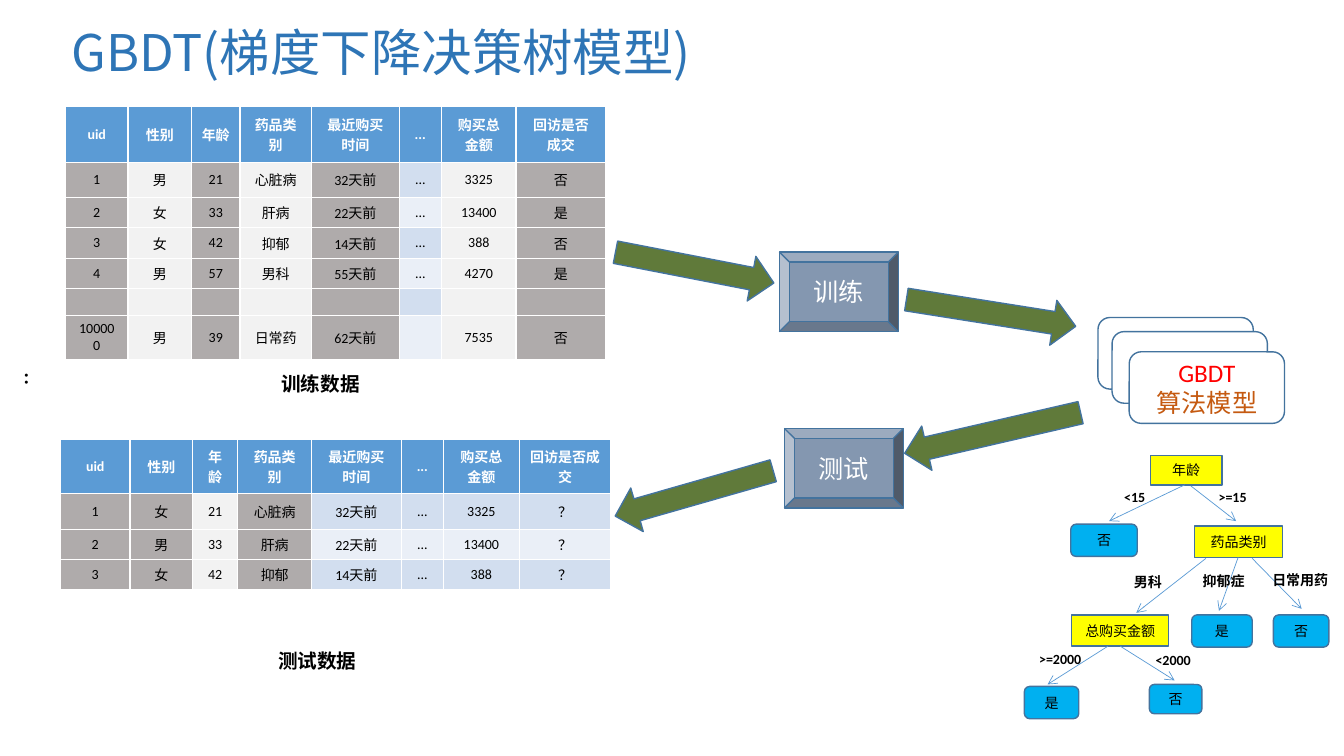
"""Build the GBDT training and testing flow slide."""
from lxml import etree
from pptx import Presentation
from pptx.dml.color import RGBColor
from pptx.enum.shapes import MSO_CONNECTOR, MSO_SHAPE
from pptx.enum.text import MSO_ANCHOR, MSO_AUTO_SIZE, PP_ALIGN
from pptx.oxml.ns import qn
from pptx.util import Inches, Pt

RECT, ROUND = MSO_SHAPE.RECTANGLE, MSO_SHAPE.ROUNDED_RECTANGLE
BEVEL, ARROW = MSO_SHAPE.BEVEL, MSO_SHAPE.RIGHT_ARROW
CENTER, LEFT, MIDDLE = PP_ALIGN.CENTER, PP_ALIGN.LEFT, MSO_ANCHOR.MIDDLE
LATIN, CJK = "Calibri", "Noto Sans CJK SC"
BLACK, WHITE, OUTLINE = "000000", "FFFFFF", "43739E"
YELLOW, CYAN, GREEN, SLATE = "FFFF00", "00B0F0", "607A3A", "8497B0"
HEADER_FILL = "5B9BD5"
COLUMN_FILLS = {"grey": ("AFABAB",) * 2, "light": ("F2F2F2",) * 2, "band": ("D2DEEF", "EAEFF7")}

TITLE = "GBDT(梯度下降决策树模型)"
HEADINGS = ["uid", "性别", "年龄", "药品类别", "最近购买时间", "...", "购买总金额", "回访是否成交"]
TABLES = [
    {
        "at": (0.65, 1.06),
        "columns": [0.62, 0.63, 0.48, 0.71, 0.87, 0.42, 0.74, 0.89],
        "heights": [0.55, 0.35, 0.3, 0.3, 0.3, 0.27, 0.4],
        "fills": ["grey", "light", "grey", "light", "grey", "band", "light", "grey"],
        "rows": [
            ["1", "男", "21", "心脏病", "32天前", "...", "3325", "否"],
            ["2", "女", "33", "肝病", "22天前", "...", "13400", "是"],
            ["3", "女", "42", "抑郁", "14天前", "...", "388", "否"],
            ["4", "男", "57", "男科", "55天前", "...", "4270", "是"],
            [""] * 8,
            ["100000", "男", "39", "日常药", "62天前", "", "7535", "否"],
        ],
    },
    {
        "at": (0.6, 4.36),
        "columns": [0.69, 0.62, 0.45, 0.73, 0.89, 0.42, 0.75, 0.91],
        "heights": [0.54, 0.35, 0.28, 0.27],
        "fills": ["grey", "grey", "light", "grey", "band", "band", "band", "band"],
        "rows": [
            ["1", "女", "21", "心脏病", "32天前", "...", "3325", "？"],
            ["2", "男", "33", "肝病", "22天前", "...", "13400", "？"],
            ["3", "女", "42", "抑郁", "14天前", "...", "388", "？"],
        ],
    },
]
CAPTIONS = [("训练数据", 2.69, 3.64), ("测试数据", 2.66, 6.39)]
STAGES = [("训练", 7.73, 2.5), ("测试", 7.78, 4.25)]
FLOW_ARROWS = [(6.09, 2.43, 1.6, 11), (8.95, 4.07, 1.79, 167),
               (8.98, 2.88, 1.7, 9), (6.07, 4.67, 1.63, 164)]
MODEL_CARDS = [
    (10.89, 3.15, []),
    (11.03, 3.29, []),
    (11.2, 3.49, [("GBDT", "FF0000"), ("算法模型", "C55A11")]),
]
SPLITS = [
    ("年龄", (11.41, 4.52, 0.71, 0.29)),
    ("药品类别", (11.85, 5.22, 0.87, 0.31)),
    ("总购买金额", (10.63, 6.1, 0.96, 0.31)),
]
LEAVES = [
    ("否", (10.62, 5.2, 0.66, 0.32)),
    ("是", (11.82, 6.1, 0.6, 0.32)),
    ("否", (12.63, 6.1, 0.55, 0.32)),
    ("是", (10.16, 6.81, 0.54, 0.32)),
    ("否", (11.4, 6.79, 0.52, 0.29)),
]
BRANCHES = [
    ("<15", (10.76, 4.8), (11.75, 4.81, 11, 5.17)),
    (">=15", (11.73, 4.8), (11.81, 4.82, 12.26, 5.17)),
    ("男科", (10.89, 5.64), (11.96, 5.54, 11.27, 6.08)),
    ("抑郁症", (11.64, 5.63), (12.28, 5.53, 12.09, 6.06)),
    ("日常用药", (12.4, 5.62), (12.42, 5.54, 12.91, 6.04)),
    (">=2000", (10.02, 6.4), (10.99, 6.41, 10.39, 6.79)),
    ("<2000", (11.14, 6.41), (11.11, 6.41, 11.65, 6.75)),
]


def rgb(code):
    return RGBColor.from_string(code)


def inches(values):
    return [Inches(value) for value in values]


def write(paragraph, text, size, color=BLACK, bold=False, font=LATIN, align=CENTER):
    paragraph.alignment = align
    run = paragraph.add_run()
    run.text = text
    run.font.size, run.font.bold, run.font.name = Pt(size), bold, font
    run.font.color.rgb = rgb(color)
    etree.SubElement(run.font._element, qn("a:ea")).set("typeface", CJK)


def add_block(slide, kind, box, fill, lines=(), size=10):
    block = slide.shapes.add_shape(kind, *inches(box))
    block.shadow.inherit = False
    block.fill.solid()
    block.fill.fore_color.rgb = rgb(fill)
    block.line.color.rgb = rgb(OUTLINE)
    block.line.width = Pt(1)
    frame = block.text_frame
    frame.vertical_anchor = MIDDLE
    for index, (text, color) in enumerate(lines):
        paragraph = frame.add_paragraph() if index else frame.paragraphs[0]
        write(paragraph, text, size, color)
    return block


def add_label(slide, box, text, size, **style):
    frame = slide.shapes.add_textbox(*inches(box)).text_frame
    frame.word_wrap = True
    frame.auto_size = MSO_AUTO_SIZE.SHAPE_TO_FIT_TEXT
    write(frame.paragraphs[0], text, size, **style)
    return frame


def add_branch(slide, ends):
    branch = slide.shapes.add_connector(MSO_CONNECTOR.STRAIGHT, *inches(ends))
    branch.line.color.rgb = rgb(HEADER_FILL)
    branch.line.width = Pt(0.5)
    etree.SubElement(branch.line._get_or_add_ln(), qn("a:tailEnd")).set("type", "arrow")
    etree.SubElement(branch._element.spPr, qn("a:effectLst"))


def add_records(slide, data):
    columns, heights = data["columns"], data["heights"]
    box = (*data["at"], sum(columns), sum(heights))
    records = slide.shapes.add_table(len(heights), len(columns), *inches(box)).table
    records.horz_banding = False
    for column, width in zip(records.columns, columns):
        column.width = Inches(width)
    for row, height in zip(records.rows, heights):
        row.height = Inches(height)
    for r, values in enumerate([HEADINGS] + data["rows"]):
        for c, value in enumerate(values):
            cell = records.cell(r, c)
            cell.vertical_anchor = MIDDLE
            cell.fill.solid()
            fill = COLUMN_FILLS[data["fills"][c]][(r - 1) % 2] if r else HEADER_FILL
            cell.fill.fore_color.rgb = rgb(fill)
            paragraph = cell.text_frame.paragraphs[0]
            if value:
                write(paragraph, value, 10, BLACK if r else WHITE, bold=r == 0)
            else:
                paragraph._p.get_or_add_endParaRPr().set("sz", "1000")


def main():
    deck = Presentation()
    deck.slide_width, deck.slide_height = Inches(13.33), Inches(7.5)
    slide = deck.slides.add_slide(deck.slide_layouts[5])
    title = slide.shapes.title
    title.left, title.top, title.width, title.height = inches((0.61, 0.12, 9.96, 0.86))
    title.text_frame.vertical_anchor = MIDDLE
    heading = title.text_frame.paragraphs[0]
    heading.line_spacing = 0.9
    write(heading, TITLE, 36, "2E75B6", font=CJK, align=LEFT)

    for text, left, top in STAGES:
        add_block(slide, BEVEL, (left, top, 1.18, 0.79), SLATE, [(text, WHITE)], 18)
    for left, top, width, angle in FLOW_ARROWS:
        add_block(slide, ARROW, (left, top, width, 0.45), GREEN).rotation = angle
    for data in TABLES:
        add_records(slide, data)
    for text, left, top in CAPTIONS:
        add_label(slide, (left, top, 1.54, 0.34), text, 14, bold=True, font=CJK, align=LEFT)
    ellipsis = add_label(slide, (0.05, 3.6, 0.5, 0.35), "...", 18, align=LEFT)
    ellipsis._txBody.bodyPr.set("vert", "eaVert")

    for text, box in SPLITS:
        add_block(slide, RECT, box, YELLOW, [(text, BLACK)])
    for text, box in LEAVES:
        add_block(slide, ROUND, box, CYAN, [(text, BLACK)])
    for text, corner, ends in BRANCHES:
        add_branch(slide, ends)
        add_label(slide, (*corner, 0.99, 0.27), text, 10, bold=True)
    for left, top, lines in MODEL_CARDS:
        add_block(slide, ROUND, (left, top, 1.54, 0.71), WHITE, lines, 18)
    deck.save("out.pptx")


if __name__ == "__main__":
    main()
